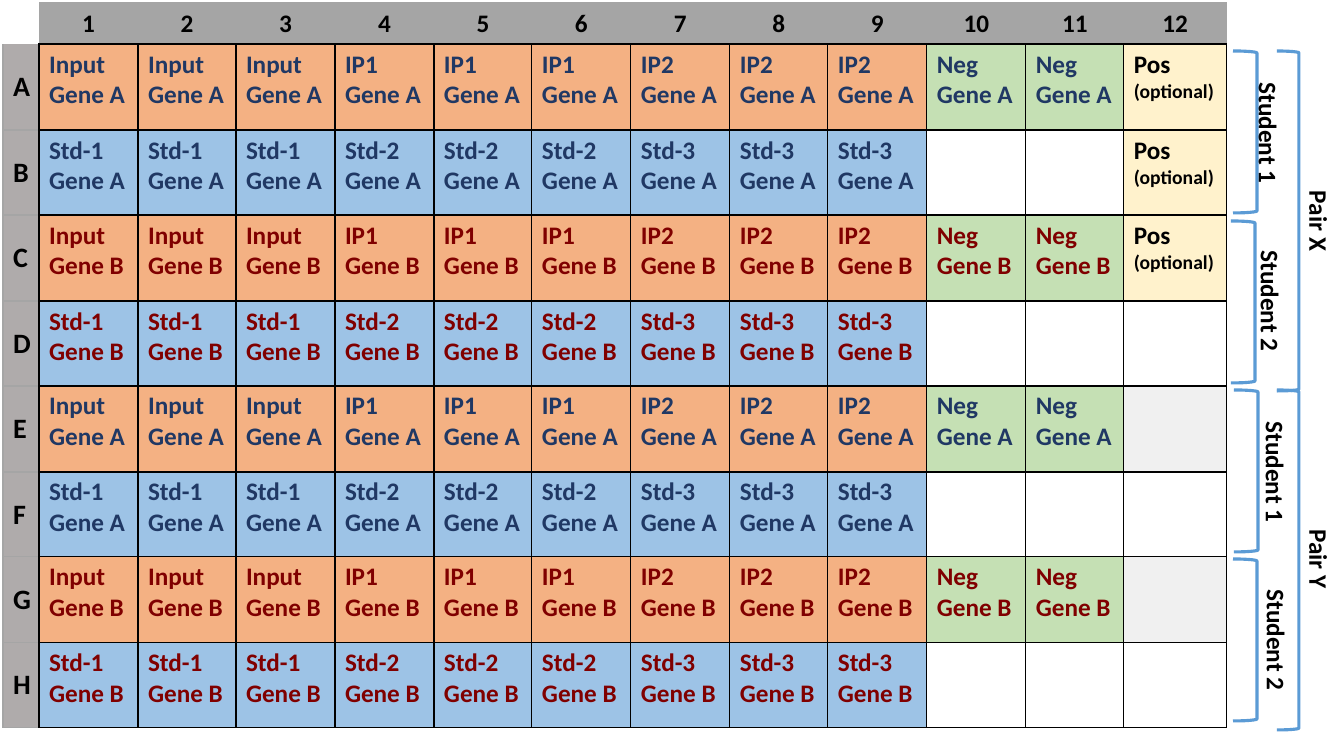
"""Build a slide with a 96-well plate layout shared by two pairs of students."""
import dataclasses
import itertools
import typing

import pptx
import pptx.dml.color
import pptx.enum.shapes
import pptx.enum.text
import pptx.oxml
import pptx.oxml.ns
import pptx.slide
import pptx.table
import pptx.text.text
import pptx.util


@dataclasses.dataclass(frozen=True)
class Theme:
    font: str = "Calibri"
    body_size: float = 18
    label_size: float = 20
    note_size: float = 14
    bracket_width: float = 2.25
    black: str = "000000"
    white: str = "FFFFFF"
    header: str = "A5A5A5"
    row_label: str = "AFABAB"
    sample: str = "F4B183"
    standard: str = "9DC3E6"
    negative: str = "C5E0B4"
    positive: str = "FFF2CC"
    unused: str = "F0F0F0"
    bracket: str = "5B9BD5"
    gene_colors: tuple[str, str] = ("203864", "800000")


THEME = Theme()
EMU_PER_PIXEL = 914400 / 100.8
SIDES = "LRTB"
ROW_NAMES = "ABCDEFGH"
ALL_BLACK = dict.fromkeys(SIDES, THEME.black)
COLUMN_WIDTHS = [36, *itertools.islice(itertools.cycle((99, 98, 99)), 11), 103]
ROW_HEIGHTS = [41, *itertools.islice(itertools.cycle((86, 85)), 8)]


class Box(typing.NamedTuple):
    left: int
    top: int
    width: int
    height: int

    def emu(self) -> list[pptx.util.Emu]:
        return [pixels(length) for length in self]


class Group(typing.NamedTuple):
    name: str
    bracket: Box
    label: Box


@dataclasses.dataclass(frozen=True)
class Well:
    fill: str
    lines: tuple[str, ...] = ()
    color: str = THEME.black
    sizes: tuple[float, ...] = (THEME.body_size, THEME.body_size)
    centered: bool = False
    middle: bool = False
    borders: dict[str, str] = dataclasses.field(default_factory=lambda: ALL_BLACK)


GROUPS = (
    Group("Pair X", Box(1277, 51, 22, 340), Box(1279, 201, 81, 40)),
    Group("Pair Y", Box(1277, 390, 22, 340), Box(1279, 539, 81, 40)),
    Group("Student 1", Box(1233, 51, 24, 162), Box(1208, 113, 122, 40)),
    Group("Student 2", Box(1231, 221, 24, 162), Box(1210, 281, 122, 40)),
    Group("Student 1", Box(1234, 390, 24, 162), Box(1215, 452, 122, 40)),
    Group("Student 2", Box(1233, 559, 24, 162), Box(1216, 620, 122, 40)),
)


def pixels(length: int) -> pptx.util.Emu:
    return pptx.util.Emu(round(length * EMU_PER_PIXEL))


def rgb(color: str) -> pptx.dml.color.RGBColor:
    return pptx.dml.color.RGBColor.from_string(color)


def format_paragraph(paragraph: pptx.text.text._Paragraph, size: float, color: str, centered: bool) -> None:
    if centered:
        paragraph.alignment = pptx.enum.text.PP_ALIGN.CENTER
    for run in paragraph.runs:
        run.font.name = THEME.font
        run.font.size = pptx.util.Pt(size)
        run.font.bold = True
        run.font.color.rgb = rgb(color)


def set_borders(cell: pptx.table._Cell, borders: dict[str, str]) -> None:
    properties = cell._tc.get_or_add_tcPr()
    for side in SIDES:
        paint = "<a:noFill/>"
        if side in borders:
            paint = f'<a:solidFill><a:srgbClr val="{borders[side]}"/></a:solidFill>'
        properties.append(pptx.oxml.parse_xml(
            f'<a:ln{side} {pptx.oxml.ns.nsdecls("a")} w="12700">{paint}</a:ln{side}>'))


def header_well(column: int) -> Well:
    borders = {"T": THEME.header, "B": THEME.black}
    if column == 12:
        borders["R"] = THEME.header
    return Well(THEME.header, (str(column),), centered=True, middle=True, borders=borders)


def row_label_well(row: int) -> Well:
    borders = {"L": THEME.header, "R": THEME.black, "B": THEME.header}
    if row > 1:
        borders["T"] = THEME.header
    return Well(THEME.row_label, (ROW_NAMES[row - 1],), sizes=(THEME.label_size,), middle=True, borders=borders)


def plate_well(row: int, column: int) -> Well:
    if row == 0:
        return header_well(column) if column else Well(THEME.white, borders={})
    if column == 0:
        return row_label_well(row)
    is_sample_row = row % 2 == 1
    if column == 12:
        if row <= 3:
            return Well(THEME.positive, ("Pos", "(optional)"), sizes=(THEME.body_size, THEME.note_size))
        return Well(THEME.unused if is_sample_row else THEME.white)
    gene = (row - 1) // 2 % 2
    gene_name, color = f"Gene {'AB'[gene]}", THEME.gene_colors[gene]
    if column >= 10:
        return Well(THEME.negative, ("Neg", gene_name), color) if is_sample_row else Well(THEME.white)
    triplicate = (column - 1) // 3
    if is_sample_row:
        return Well(THEME.sample, (("Input", "IP1", "IP2")[triplicate], gene_name), color)
    return Well(THEME.standard, (f"Std-{triplicate + 1}", gene_name), color)


def draw_well(cell: pptx.table._Cell, well: Well) -> None:
    set_borders(cell, well.borders)
    cell.fill.solid()
    cell.fill.fore_color.rgb = rgb(well.fill)
    if well.middle:
        cell.vertical_anchor = pptx.enum.text.MSO_ANCHOR.MIDDLE
    cell.text_frame.text = "\n".join(well.lines)
    for paragraph, size in zip(cell.text_frame.paragraphs, well.sizes):
        format_paragraph(paragraph, size, well.color, well.centered)


def draw_plate(slide: pptx.slide.Slide) -> None:
    box = Box(3, 3, sum(COLUMN_WIDTHS), sum(ROW_HEIGHTS))
    table = slide.shapes.add_table(len(ROW_HEIGHTS), len(COLUMN_WIDTHS), *box.emu()).table
    table.first_row = table.horz_banding = False
    for column, width in zip(table.columns, COLUMN_WIDTHS):
        column.width = pixels(width)
    for row, height in zip(table.rows, ROW_HEIGHTS):
        row.height = pixels(height)
    for row, column in itertools.product(range(len(ROW_HEIGHTS)), range(len(COLUMN_WIDTHS))):
        draw_well(table.cell(row, column), plate_well(row, column))


def draw_bracket(slide: pptx.slide.Slide, box: Box) -> None:
    shape = slide.shapes.add_shape(pptx.enum.shapes.MSO_SHAPE.RIGHT_BRACKET, *box.emu())
    shape.shadow.inherit = False
    shape.fill.background()
    shape.line.color.rgb = rgb(THEME.bracket)
    shape.line.width = pptx.util.Pt(THEME.bracket_width)


def draw_group_label(slide: pptx.slide.Slide, name: str, box: Box) -> None:
    shape = slide.shapes.add_textbox(*box.emu())
    shape.rotation = 90
    text_frame = shape.text_frame
    text_frame.word_wrap = False
    text_frame.auto_size = pptx.enum.text.MSO_AUTO_SIZE.SHAPE_TO_FIT_TEXT
    text_frame.text = name
    format_paragraph(text_frame.paragraphs[0], THEME.body_size, THEME.black, centered=True)


def main() -> None:
    presentation = pptx.Presentation()
    presentation.slide_width, presentation.slide_height = pixels(1344), pixels(756)
    slide = presentation.slides.add_slide(presentation.slide_layouts[6])
    draw_plate(slide)
    for group in GROUPS:
        draw_bracket(slide, group.bracket)
    for group in GROUPS:
        draw_group_label(slide, group.name, group.label)
    presentation.save("out.pptx")


main()
